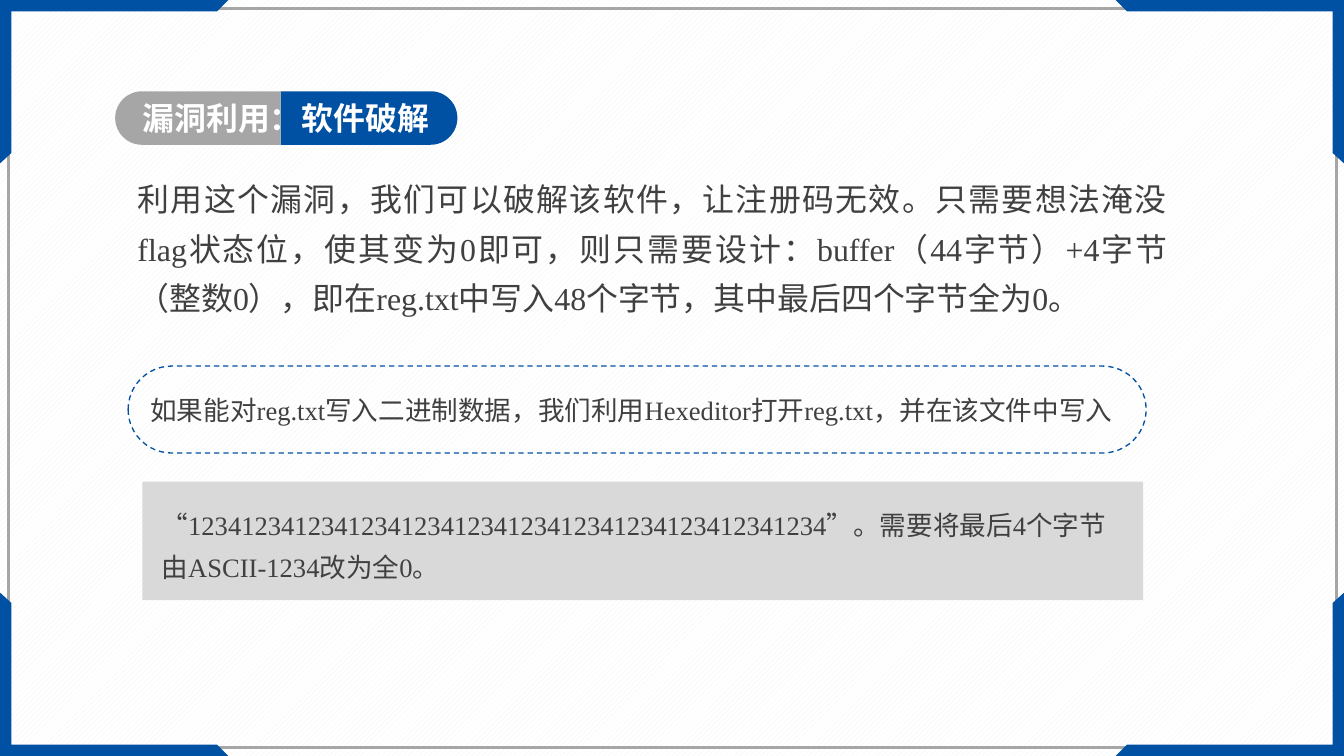
from pptx import Presentation
from pptx.dml.color import RGBColor
from pptx.enum.dml import MSO_LINE, MSO_PATTERN
from pptx.enum.shapes import MSO_SHAPE
from pptx.enum.text import MSO_ANCHOR, MSO_AUTO_SIZE, PP_ALIGN
from pptx.util import Inches, Pt

WIDTH, HEIGHT = 14.06, 7.91
COLORS = {
    "blue": "0050A3",
    "gray": "A6A6A6",
    "panel": "D9D9D9",
    "text": "404040",
    "white": "FFFFFF",
    "stripe": "F2F2F2",
}


def color(name):
    return RGBColor.from_string(COLORS[name])


class SlideBuilder:
    font_name = "Times New Roman"

    def __init__(self, slide):
        self.slide = slide

    def background(self, stripe, base):
        fill = self.slide.background.fill
        fill.patterned()
        fill.pattern = MSO_PATTERN.WIDE_UPWARD_DIAGONAL
        fill.fore_color.rgb = color(stripe)
        fill.back_color.rgb = color(base)

    def paint(self, shape, fill=None, line=None, line_width=1, dash=None):
        shape.shadow.inherit = False
        if fill:
            shape.fill.solid()
            shape.fill.fore_color.rgb = color(fill)
        else:
            shape.fill.background()
        if line:
            shape.line.color.rgb = color(line)
            shape.line.width = Pt(line_width)
            if dash:
                shape.line.dash_style = dash
        else:
            shape.line.fill.background()

    def shape(self, kind, box, adjustments=(), rotation=0, **style):
        shape = self.slide.shapes.add_shape(kind, *map(Inches, box))
        for index, value in enumerate(adjustments):
            shape.adjustments[index] = value
        shape.rotation = rotation
        self.paint(shape, **style)
        return shape

    def outline(self, points, fill):
        corners = [(Inches(x), Inches(y)) for x, y in points]
        builder = self.slide.shapes.build_freeform(*corners[0])
        builder.add_line_segments(corners[1:], close=True)
        self.paint(builder.convert_to_shape(), fill=fill)

    def text_box(self, box, text, **style):
        shape = self.slide.shapes.add_textbox(*map(Inches, box))
        self.set_text(shape, text, **style)
        shape.text_frame.auto_size = MSO_AUTO_SIZE.SHAPE_TO_FIT_TEXT

    def set_text(self, shape, text, size, font_color="text", bold=False, spacing=1.0,
                 align=PP_ALIGN.LEFT, anchor=MSO_ANCHOR.TOP, insets=(0.1, 0.05)):
        frame = shape.text_frame
        frame.word_wrap = True
        frame.vertical_anchor = anchor
        frame.margin_left = frame.margin_right = Inches(insets[0])
        frame.margin_top = frame.margin_bottom = Inches(insets[1])
        paragraph = frame.paragraphs[0]
        paragraph.text = text
        paragraph.alignment = align
        paragraph.line_spacing = spacing
        paragraph.font.name = self.font_name
        paragraph.font.size = Pt(size)
        paragraph.font.bold = bold
        paragraph.font.color.rgb = color(font_color)


def main():
    presentation = Presentation()
    presentation.slide_width = Inches(WIDTH)
    presentation.slide_height = Inches(HEIGHT)
    builder = SlideBuilder(presentation.slides.add_slide(presentation.slide_layouts[6]))

    # Striped background, gray frame and four mirrored corners
    builder.background("stripe", "white")
    builder.shape(MSO_SHAPE.RECTANGLE, (0.09, 0.09, 13.89, 7.73), line="gray", line_width=2)
    corner = [(0, 0), (2.39, 0), (2.27, 0.12), (0.12, 0.12), (0.12, 1.6), (0, 1.71)]
    for right in (False, True):
        for bottom in (False, True):
            builder.outline([(WIDTH - x if right else x, HEIGHT - y if bottom else y)
                             for x, y in corner], "blue")

    # Two-part title pill
    for box, rotation, fill in (((3.58, 0.31, 0.56, 1.85), 90, "blue"),
                                ((1.79, 0.37, 0.56, 1.73), 270, "gray")):
        builder.shape(MSO_SHAPE.ROUND_2_SAME_RECTANGLE, box, (0.5, 0), rotation, fill=fill)
    builder.text_box((1.34, 0.95, 3.4, 0.56), "漏洞利用：软件破解", size=24,
                     font_color="white", bold=True, insets=(0.15, 0.08))

    # Explanation
    builder.text_box(
        (1.34, 1.71, 10.97, 1.62),
        "利用这个漏洞，我们可以破解该软件，让注册码无效。只需要想法淹没flag状态位，"
        "使其变为0即可，则只需要设计：buffer（44字节）+4字节（整数0），"
        "即在reg.txt中写入48个字节，其中最后四个字节全为0。",
        size=24, spacing=1.3, align=PP_ALIGN.JUSTIFY)

    # Dashed instruction
    instruction = builder.shape(MSO_SHAPE.ROUNDED_RECTANGLE, (1.34, 3.83, 10.65, 0.91),
                                (0.5,), line="blue", dash=MSO_LINE.DASH)
    builder.set_text(
        instruction,
        "如果能对reg.txt写入二进制数据，我们利用Hexeditor打开reg.txt，并在该文件中写入",
        size=20, anchor=MSO_ANCHOR.MIDDLE)

    # File contents panel
    panel = builder.shape(MSO_SHAPE.RECTANGLE, (1.49, 5.04, 10.47, 1.24), fill="panel")
    builder.set_text(
        panel,
        "“123412341234123412341234123412341234123412341234”。"
        "需要将最后4个字节由ASCII-1234改为全0。",
        size=20, spacing=1.3, anchor=MSO_ANCHOR.MIDDLE, insets=(0.2, 0.05))

    presentation.save("out.pptx")


if __name__ == "__main__":
    main()
